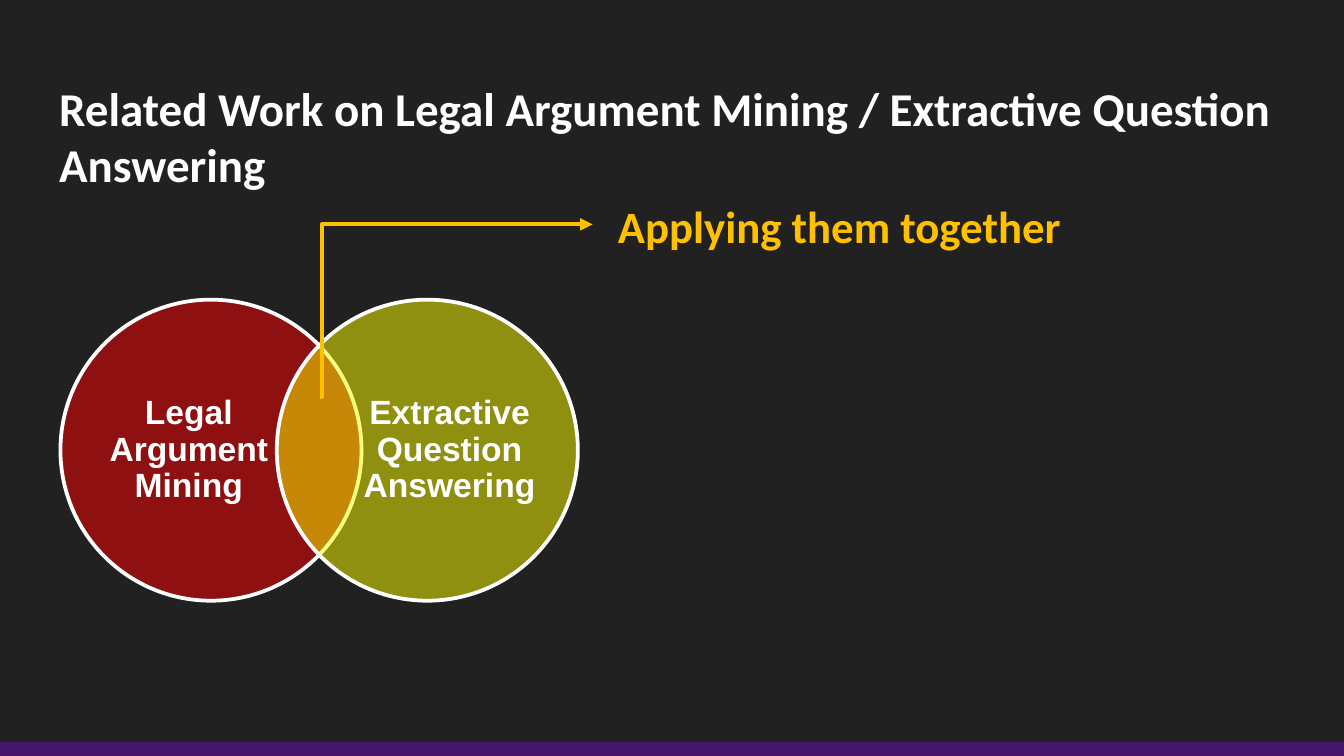
from lxml.etree import SubElement
from pptx import Presentation
from pptx.dml.color import RGBColor
from pptx.enum.shapes import MSO_CONNECTOR as CONNECTOR, MSO_SHAPE as SHAPE
from pptx.enum.text import MSO_ANCHOR as ANCHOR, MSO_AUTO_SIZE as AUTO_SIZE, PP_ALIGN as ALIGN
from pptx.oxml.ns import qn
from pptx.util import Inches, Pt

WHITE = RGBColor(0xFF, 0xFF, 0xFF)
DARK = RGBColor(0x21, 0x21, 0x21)
PURPLE = RGBColor(0x46, 0x16, 0x6B)
AMBER = RGBColor(0xFF, 0xC0, 0x00)
RED = RGBColor(0xFD, 0x00, 0x00)
YELLOW = RGBColor(0xFF, 0xFF, 0x00)

TITLE = "Related Work on Legal Argument Mining / Extractive Question Answering"
CALLOUT = "Applying them together"
TOPICS = [
    ("Legal Argument Mining", RED, 0.31),
    ("Extractive Question Answering", YELLOW, 0.64),
]
SLIDE_WIDTH = 10
SLIDE_HEIGHT = SLIDE_WIDTH * 9 / 16
FOOTER_TOP = 5.52
VENN_LEFT, VENN_TOP, DIAMETER, VENN_STEP = 0.45, 2.23, 2.24, 1.61
LABEL_WIDTH, LABEL_HEIGHT = 1.29, 1.71


def write(box, text, font_name, size, color, align, anchor, inset):
    frame = box.text_frame
    frame.text = text
    frame.word_wrap = True
    frame.auto_size = AUTO_SIZE.NONE
    frame.vertical_anchor = anchor
    frame.margin_left = frame.margin_right = Inches(inset)
    frame.margin_top = frame.margin_bottom = Inches(inset)
    paragraph = frame.paragraphs[0]
    paragraph.alignment = align
    font = paragraph.runs[0].font
    font.name, font.size, font.bold = font_name, Pt(size), True
    font.color.rgb = color
    return paragraph


def add_filled(slide, preset, left, top, width, height, color):
    shape = slide.shapes.add_shape(
        preset, Inches(left), Inches(top), Inches(width), Inches(height))
    shape.shadow.inherit = False
    shape.fill.solid()
    shape.fill.fore_color.rgb = color
    shape.line.fill.background()
    return shape


def add_topic(slide, index, text, color, label_offset):
    left = VENN_LEFT + index * VENN_STEP
    circle = add_filled(slide, SHAPE.OVAL, left, VENN_TOP, DIAMETER, DIAMETER, color)
    circle.line.color.rgb = WHITE
    circle.line.width = Pt(2)
    fill_color = circle._element.spPr.find(qn("a:solidFill"))[0]
    SubElement(fill_color, qn("a:alpha"), val="50000")

    label_top = VENN_TOP + (DIAMETER - LABEL_HEIGHT) / 2
    label = slide.shapes.add_textbox(
        Inches(left + label_offset), Inches(label_top),
        Inches(LABEL_WIDTH), Inches(LABEL_HEIGHT))
    paragraph = write(label, text, "Arial", 18, WHITE, ALIGN.CENTER, ANCHOR.MIDDLE, 0)
    paragraph.line_spacing = 0.9


def add_overlap_arrow(slide):
    arrow = slide.shapes.add_connector(
        CONNECTOR.ELBOW, Inches(2.38), Inches(2.95), Inches(4.41), Inches(1.67))
    arrow.line.color.rgb = AMBER
    arrow.line.width = Pt(2.25)
    properties = arrow._element.spPr
    bend = properties.find(qn("a:prstGeom")).find(qn("a:avLst"))
    SubElement(bend, qn("a:gd"), name="adj1", fmla="val 800")
    SubElement(properties.find(qn("a:ln")), qn("a:tailEnd"), type="triangle")
    SubElement(properties, qn("a:effectLst"))


def main():
    deck = Presentation()
    deck.slide_width, deck.slide_height = Inches(SLIDE_WIDTH), Inches(SLIDE_HEIGHT)
    slide = deck.slides.add_slide(deck.slide_layouts[5])
    slide.background.fill.solid()
    slide.background.fill.fore_color.rgb = DARK

    title = slide.shapes.title
    title.left, title.top = Inches(0.34), Inches(0.49)
    title.width, title.height = Inches(9.32), Inches(0.63)
    write(title, TITLE, "Calibri", 25.2, WHITE, ALIGN.LEFT, ANCHOR.TOP, 0.1)

    add_filled(slide, SHAPE.RECTANGLE, 0, FOOTER_TOP,
               SLIDE_WIDTH, SLIDE_HEIGHT - FOOTER_TOP, PURPLE)

    callout = slide.shapes.add_textbox(
        Inches(4.5), Inches(1.32), Inches(5.16), Inches(2.25))
    paragraph = write(callout, CALLOUT, "Calibri", 24, AMBER, ALIGN.LEFT, ANCHOR.TOP, 0.1)
    paragraph.line_spacing = 1.15
    paragraph.space_after = Pt(12)

    for index, topic in enumerate(TOPICS):
        add_topic(slide, index, *topic)
    add_overlap_arrow(slide)
    deck.save("out.pptx")


if __name__ == "__main__":
    main()
